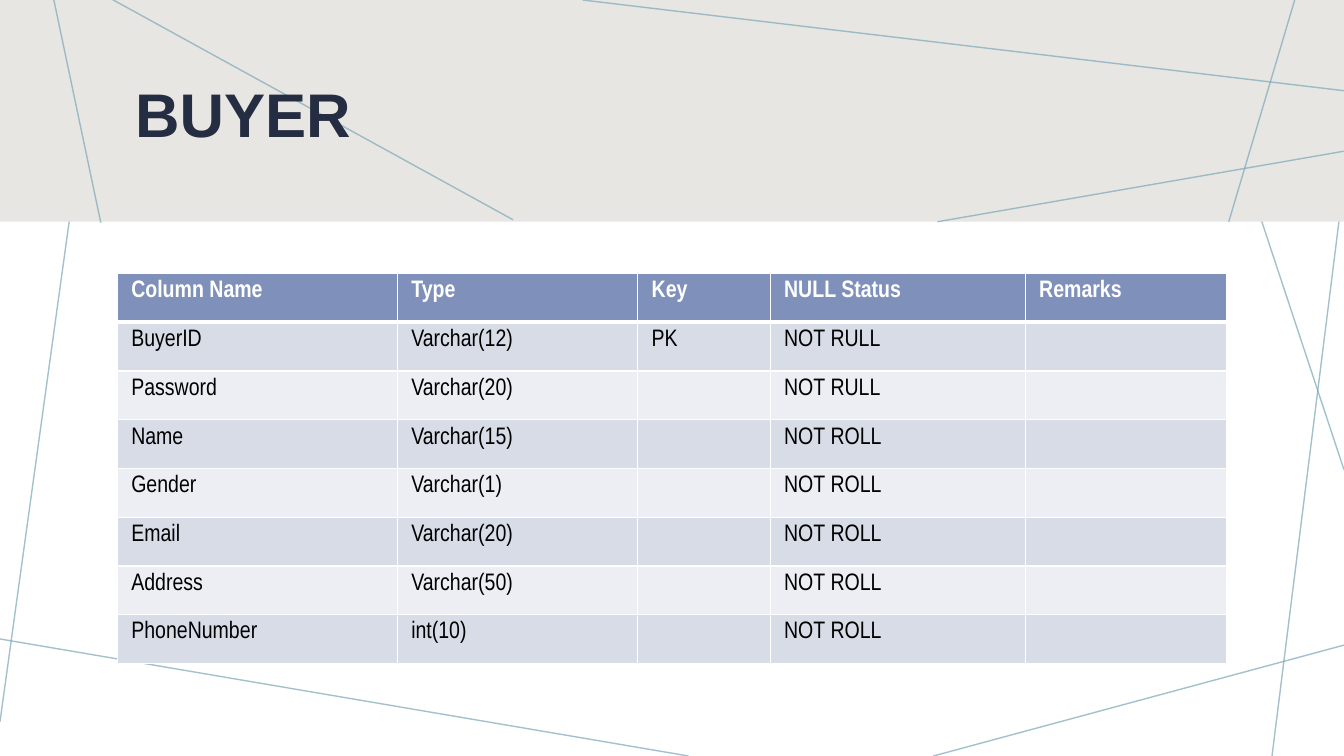
import pptx
import pptx.dml.color
import pptx.enum.shapes
import pptx.enum.text
import pptx.oxml
import pptx.oxml.ns
import pptx.util
from dataclasses import dataclass

Pt = pptx.util.Pt


@dataclass(frozen=True)
class Theme:
    white: str = "FFFFFF"
    black: str = "000000"
    band: str = "E8E6E2"
    ink: str = "242D41"
    line: str = "7DA8B9"
    head: str = "7F91BA"
    odd: str = "D8DCE7"
    even: str = "ECEEF3"
    title_font: str = "Arial"
    cell_font: str = "Arial Narrow"
    title_size: int = 44
    cell_size: int = 17


THEME = Theme()
WIDE, HIGH = 960, 540

# Line ends, relative to the slide's top left corner
BACK = [
    (245.5, 0, 0, 54), (71.3, 0, 0, 515.5), (491.8, 540, -3.6, 455.8),
    (960, 460.8, 666.7, 540), (960, 129.6, 908.6, 540),
    (960, 335.5, 848.9, 0), (960, 72.7, 514, -0.7),
]
FRONT = [
    (38.2, -1.4, 72, 159.1), (77, -2.2, 366.5, 157),
    (877.7, 158.4, 925.2, -1.4), (416.2, 0, 960, 64.8),
    (669.6, 158.4, 960, 108),
]

COLS = [200, 171.8, 94.6, 182.2, 143.9]
ROWS = [
    ("Column Name", "Type", "Key", "NULL Status", "Remarks"),
    ("BuyerID", "Varchar(12)", "PK", "NOT RULL", ""),
    ("Password", "Varchar(20)", "", "NOT RULL", ""),
    ("Name", "Varchar(15)", "", "NOT ROLL", ""),
    ("Gender", "Varchar(1)", "", "NOT ROLL", ""),
    ("Email", "Varchar(20)", "", "NOT ROLL", ""),
    ("Address", "Varchar(50)", "", "NOT ROLL", ""),
    ("PhoneNumber", "int(10)", "", "NOT ROLL", ""),
]


def rgb(code):
    return pptx.dml.color.RGBColor.from_string(code)


def style(para, font, size, color, bold):
    for run in para.runs:
        run.font.name = font
        run.font.size = Pt(size)
        run.font.bold = bold
        run.font.color.rgb = rgb(color)


def add_lines(slide, box, ends):
    left, top = box[:2]
    for x1, y1, x2, y2 in ends:
        line = slide.shapes.add_connector(
            pptx.enum.shapes.MSO_CONNECTOR.STRAIGHT,
            Pt(left + x1), Pt(top + y1), Pt(left + x2), Pt(top + y2))
        line.line.width = Pt(1)
        line.line.color.rgb = rgb(THEME.line)
        # Soft colour, no shadow
        props = line.element.spPr
        tint = props.find(".//" + pptx.oxml.ns.qn("a:srgbClr"))
        alpha = tint.makeelement(pptx.oxml.ns.qn("a:alpha"), {"val": "70000"})
        tint.append(alpha)
        props.append(props.makeelement(pptx.oxml.ns.qn("a:effectLst"), {}))


def add_band(slide, box):
    band = slide.shapes.add_shape(
        pptx.enum.shapes.MSO_SHAPE.RECTANGLE, *map(Pt, box))
    band.shadow.inherit = False
    band.fill.solid()
    band.fill.fore_color.rgb = rgb(THEME.band)
    band.line.fill.background()
    add_lines(slide, box, FRONT)


def add_title(slide, box, text):
    title = slide.shapes.title
    title.left, title.top, title.width, title.height = map(Pt, box)
    frame = title.text_frame
    frame.text = text
    frame.word_wrap = True
    frame.auto_size = pptx.enum.text.MSO_AUTO_SIZE.NONE
    frame.vertical_anchor = pptx.enum.text.MSO_ANCHOR.MIDDLE
    para = frame.paragraphs[0]
    para.alignment = pptx.enum.text.PP_ALIGN.LEFT
    para.line_spacing = 0.9
    style(para, THEME.title_font, THEME.title_size, THEME.ink, True)
    # Bring the title in front of the band
    slide.shapes.element.append(title.element)


def add_edges(cell, row):
    widths = {"L": 1, "R": 1, "T": 3 if row == 1 else 1,
              "B": 3 if row == 0 else 1}
    props = cell._tc.get_or_add_tcPr()
    for side, width in widths.items():
        props.append(pptx.oxml.parse_xml(
            f'<a:ln{side} {pptx.oxml.ns.nsdecls("a")} w="{Pt(width)}">'
            f'<a:solidFill><a:srgbClr val="{THEME.white}"/></a:solidFill>'
            f'</a:ln{side}>'))


def fill_cell(cell, row, text):
    head = row == 0
    add_edges(cell, row)
    cell.fill.solid()
    cell.fill.fore_color.rgb = rgb(
        THEME.head if head else THEME.odd if row % 2 else THEME.even)
    cell.margin_left = cell.margin_right = Pt(10)
    cell.margin_top = cell.margin_bottom = Pt(5)
    cell.text_frame.text = text
    style(cell.text_frame.paragraphs[0], THEME.cell_font, THEME.cell_size,
          THEME.white if head else THEME.black, head)


def add_grid(slide, box):
    table = slide.shapes.add_table(
        len(ROWS), len(COLS), *map(Pt, box)).table
    table.horz_banding = False
    for col, width in zip(table.columns, COLS):
        col.width = Pt(width)
    for i, texts in enumerate(ROWS):
        table.rows[i].height = Pt(box[3] / len(ROWS))
        for j, text in enumerate(texts):
            fill_cell(table.cell(i, j), i, text)


def main():
    deck = pptx.Presentation()
    deck.slide_width, deck.slide_height = Pt(WIDE), Pt(HIGH)
    slide = deck.slides.add_slide(deck.slide_layouts[5])
    # Background lines, then the header, then the table
    add_lines(slide, (0, 0, WIDE, HIGH), BACK)
    add_band(slide, (0, 0, WIDE, 158.4))
    add_title(slide, (89.3, 46, 792.7, 75.6), "BUYER")
    add_grid(slide, (83.8, 195.4, sum(COLS), 278.6))
    deck.save("out.pptx")


if __name__ == "__main__":
    main()
